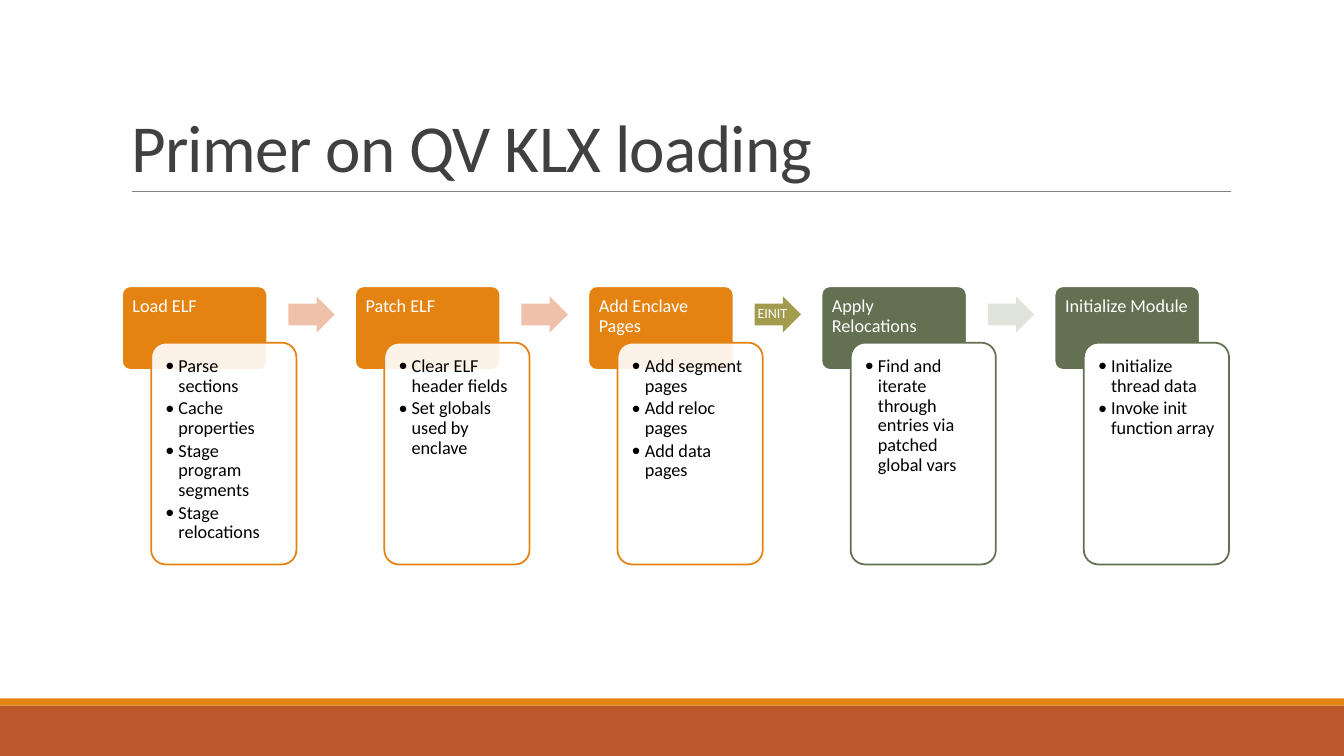
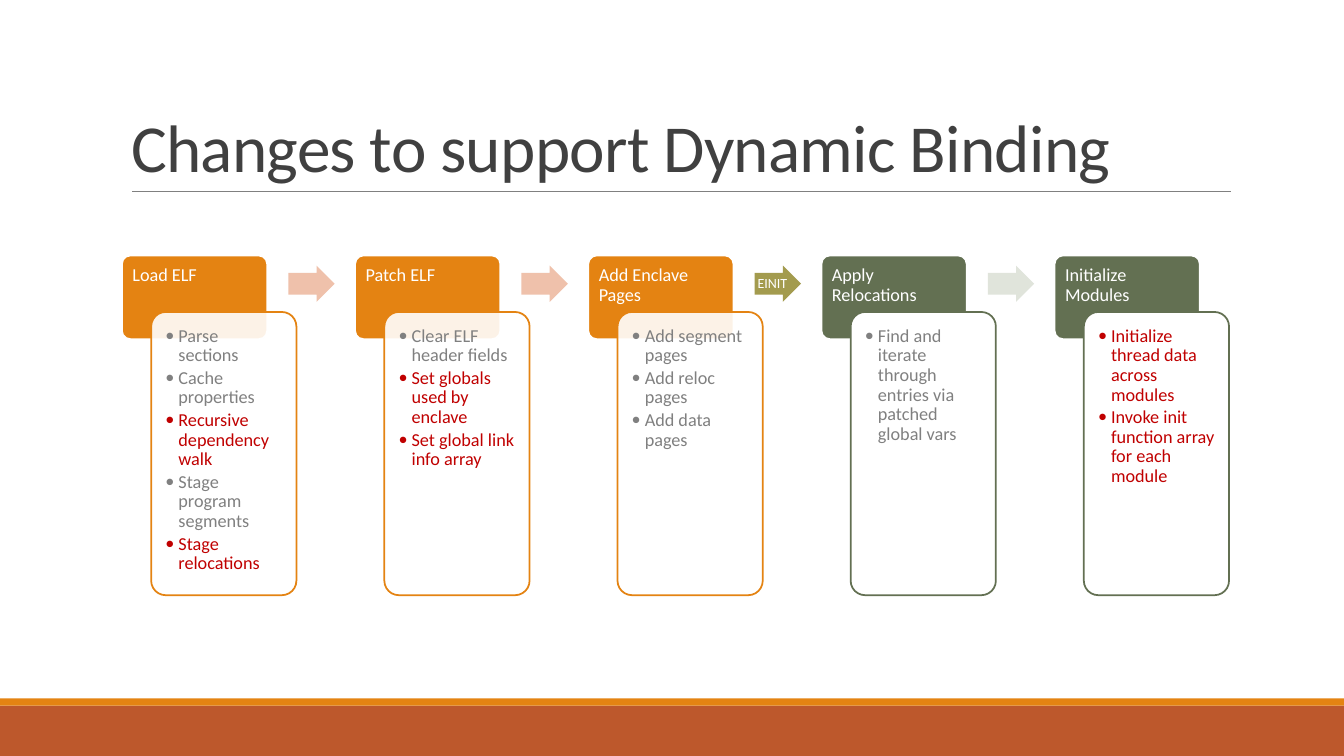
from lxml.etree import SubElement
from pptx import Presentation
from pptx.dml.color import RGBColor
from pptx.enum.shapes import MSO_CONNECTOR as Connector, MSO_SHAPE as Shape
from pptx.enum.text import MSO_ANCHOR as Anchor, MSO_AUTO_SIZE as AutoSize, PP_ALIGN as Align
from pptx.oxml.ns import qn
from pptx.util import Inches, Pt

# Shared style
FONT = "Calibri"
WHITE = RGBColor(0xFF, 0xFF, 0xFF)
BLACK = RGBColor(0x00, 0x00, 0x00)
CHARCOAL = RGBColor(0x40, 0x40, 0x40)
GREY = RGBColor(0x80, 0x80, 0x80)
RED = RGBColor(0xC0, 0x00, 0x00)
ORANGE = RGBColor(0xE4, 0x83, 0x12)
RUST = RGBColor(0xBD, 0x58, 0x2C)
GREEN = RGBColor(0x63, 0x70, 0x52)
SALMON = RGBColor(0xEF, 0xC1, 0xAB)
OLIVE = RGBColor(0xA3, 0x9B, 0x4E)
PALE_GREEN = RGBColor(0xE0, 0xE4, 0xDB)

# Process layout, in inches
FIRST_LEFT, LAST_LEFT = 1.21, 10.46
MIDDLE = 4.22
BOX_WIDTH, HEADER_HEIGHT = 1.44, 0.83
CARD_RIGHT, CARD_DOWN = 0.29, 0.56
ARROW_RIGHT, ARROW_DOWN = 1.65, 0.1
BULLET_INDENT = 0.13

# Per step: accent colour and card opacity; per gap: arrow colour and label
STEP_STYLES = [(ORANGE, 90), (ORANGE, 90), (ORANGE, 90), (GREEN, 100), (GREEN, 100)]
ARROWS = [(SALMON, ""), (SALMON, ""), (OLIVE, "EINIT"), (PALE_GREEN, "")]

LOADING_STEPS = [
    ("Load ELF", ["Parse sections", "Cache properties",
                  "Stage program segments", "Stage relocations"]),
    ("Patch ELF", ["Clear ELF header fields", "Set globals used by enclave"]),
    ("Add Enclave Pages", ["Add segment pages", "Add reloc pages", "Add data pages"]),
    ("Apply Relocations", ["Find and iterate through entries via patched global vars"]),
    ("Initialize Module", ["Initialize thread data", "Invoke init function array"]),
]
BINDING_STEPS = [
    ("Load ELF", ["Parse sections", "Cache properties", "Recursive dependency walk",
                  "Stage program segments", "Stage relocations"]),
    ("Patch ELF", ["Clear ELF header fields", "Set globals used by enclave",
                   "Set global link info array"]),
    *LOADING_STEPS[2:4],
    ("Initialize Modules", ["Initialize thread data across modules",
                            "Invoke init function array for each module"]),
]
BINDING_CHANGES = {
    "Recursive dependency walk", "Stage relocations", "Set globals used by enclave",
    "Set global link info array", *BINDING_STEPS[4][1],
}


def add_box(page, kind, left, top, width, height, fill, line=None, opacity=100):
    box = page.shapes.add_shape(kind, Inches(left), Inches(top), Inches(width), Inches(height))
    box.shadow.inherit = False
    box.fill.solid()
    box.fill.fore_color.rgb = fill
    if opacity < 100:
        colour = box.element.spPr.find(qn("a:solidFill")).find(qn("a:srgbClr"))
        SubElement(colour, qn("a:alpha")).set("val", str(opacity * 1000))
    if line is None:
        box.line.fill.background()
    else:
        box.line.color.rgb = line
        box.line.width = Pt(1.25)
    return box


def set_frame(box, inset, anchor=Anchor.TOP):
    frame = box.text_frame
    frame.word_wrap = True
    frame.auto_size = AutoSize.NONE
    frame.vertical_anchor = anchor
    frame.margin_left = frame.margin_right = Inches(inset)
    frame.margin_top = frame.margin_bottom = Inches(inset)
    return frame


def write(para, text, size=13, color=WHITE, align=Align.LEFT, spacing=0.9, bullet=False):
    para.alignment = align
    para.line_spacing = spacing
    span = para.add_run()
    span.text = text
    span.font.name = FONT
    span.font.size = Pt(size)
    span.font.color.rgb = color
    if bullet:
        para.space_after = Pt(2)
        properties = para._p.get_or_add_pPr()
        properties.set("marL", str(Inches(BULLET_INDENT)))
        properties.set("indent", str(-Inches(BULLET_INDENT)))
        SubElement(properties, qn("a:buFont")).set("typeface", FONT)
        SubElement(properties, qn("a:buChar")).set("char", "•")
    return span


def prepare_layout(deck):
    """Place the title on the layout and drop its unused placeholders."""
    layout = deck.slide_layouts[5]
    for holder in list(layout.placeholders):
        if holder.placeholder_format.idx != 0:
            holder.element.getparent().remove(holder.element)
        else:
            holder.left, holder.top = Inches(1.2), Inches(0.31)
            holder.width, holder.height = Inches(11), Inches(1.59)
    return layout


def add_shared_parts(page):
    """Draw the bands and the title rule, then hand them to the layout."""
    band = add_box(page, Shape.RECTANGLE, 0, 7, 13.33, 0.5, RUST)
    stripe = add_box(page, Shape.RECTANGLE, 0, 6.93, 13.33, 0.07, ORANGE)
    rule = page.shapes.add_connector(
        Connector.STRAIGHT, Inches(1.31), Inches(1.9), Inches(12.21), Inches(1.9))
    rule.line.color.rgb = GREY
    rule.line.width = Pt(0.5)
    SubElement(rule.element.spPr, qn("a:effectLst"))
    for part in (band, stripe, rule):
        page.slide_layout.shapes.element.append(part.element)


def set_title(page, text):
    frame = page.shapes.title.text_frame
    frame.vertical_anchor = Anchor.BOTTOM
    frame.auto_size = AutoSize.NONE
    span = write(frame.paragraphs[0], text, size=48, color=CHARCOAL, spacing=0.85)
    span.font._element.set("spc", "-50")


def add_step(page, left, top, card_height, heading, bullets, accent, opacity):
    # Heading block
    header = add_box(page, Shape.ROUNDED_RECTANGLE, left, top,
                     BOX_WIDTH, HEADER_HEIGHT, accent, line=WHITE)
    header.adjustments[0] = 0.1
    write(set_frame(header, 0.08).paragraphs[0], heading)
    # Card with bullets
    card = add_box(page, Shape.ROUNDED_RECTANGLE, left + CARD_RIGHT, top + CARD_DOWN,
                   BOX_WIDTH, card_height, WHITE, line=accent, opacity=opacity)
    card.adjustments[0] = 0.1
    frame = set_frame(card, 0.1)
    for index, (text, color) in enumerate(bullets):
        para = frame.add_paragraph() if index else frame.paragraphs[0]
        write(para, text, color=color, bullet=True)


def add_arrow(page, left, top, fill, label):
    arrow = add_box(page, Shape.RIGHT_ARROW, left, top, 0.46, 0.36, fill)
    arrow.adjustments[0] = 0.6
    arrow.adjustments[1] = 0.5
    if label:
        frame = set_frame(arrow, 0, Anchor.MIDDLE)
        write(frame.paragraphs[0], label, size=10, align=Align.CENTER)


def add_process(page, steps, card_height, color, changes=()):
    """Spread the steps evenly and centre them on the middle line."""
    pitch = (LAST_LEFT - FIRST_LEFT) / (len(steps) - 1)
    top = MIDDLE - (CARD_DOWN + card_height) / 2
    for index, (heading, items) in enumerate(steps):
        left = FIRST_LEFT + index * pitch
        bullets = [(item, RED if item in changes else color) for item in items]
        add_step(page, left, top, card_height, heading, bullets, *STEP_STYLES[index])
        if index < len(ARROWS):
            add_arrow(page, left + ARROW_RIGHT, top + ARROW_DOWN, *ARROWS[index])


def main():
    deck = Presentation()
    deck.slide_width, deck.slide_height = Inches(13.33), Inches(7.5)
    layout = prepare_layout(deck)

    # Loading steps
    loading = deck.slides.add_slide(layout)
    add_shared_parts(loading)
    set_title(loading, "Primer on QV KLX loading")
    add_process(loading, LOADING_STEPS, 2.2, BLACK)

    # Changed steps in red
    binding = deck.slides.add_slide(layout)
    set_title(binding, "Changes to support Dynamic Binding")
    add_process(binding, BINDING_STEPS, 2.81, GREY, BINDING_CHANGES)

    deck.save("out.pptx")


main()
